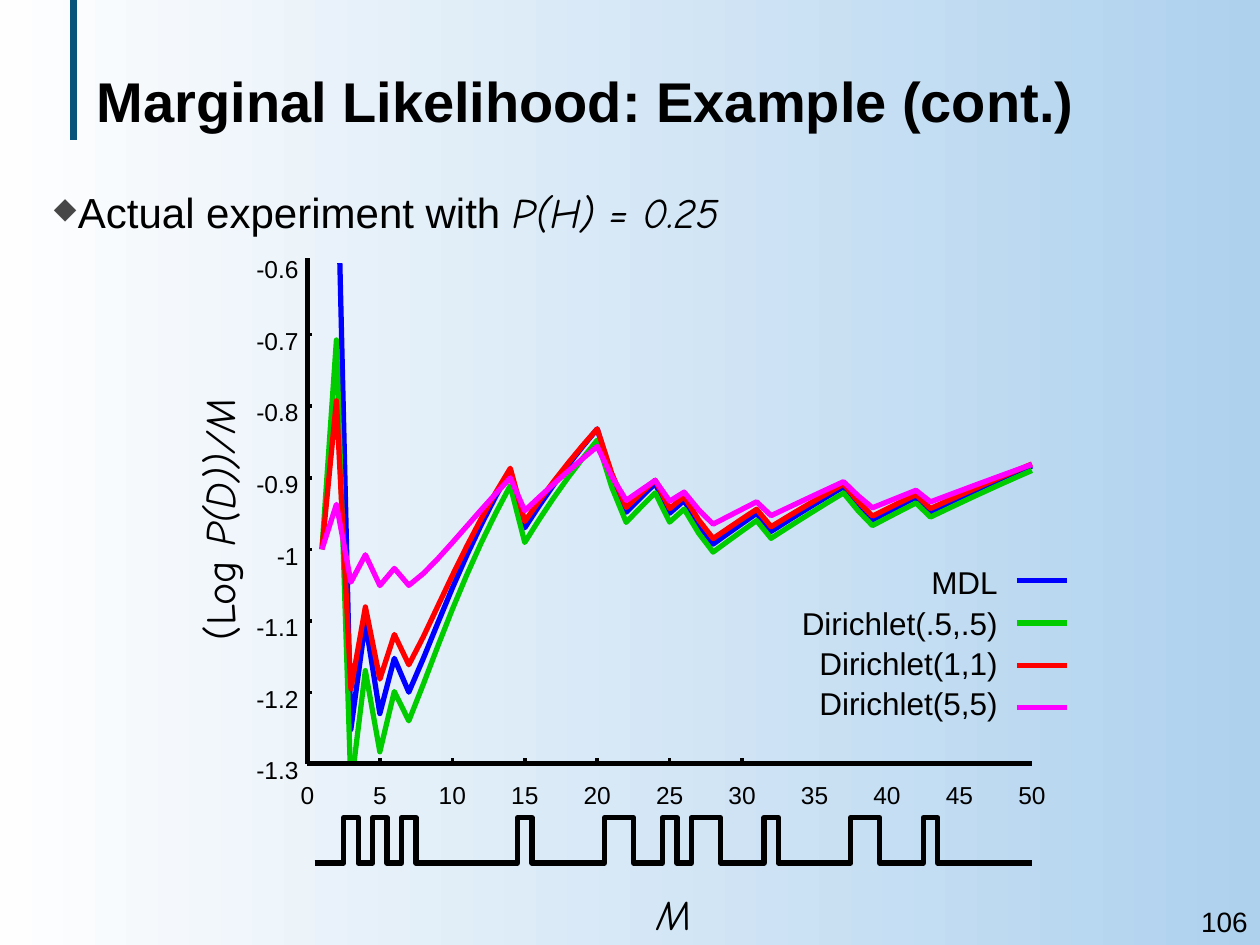
"""Builds a slide comparing marginal likelihood scores over a run of coin tosses."""
from dataclasses import dataclass, field
from itertools import groupby
from math import lgamma, log, log2

from lxml import etree
from pptx import Presentation
from pptx import util as u
from pptx.dml import color
from pptx.enum import shapes, text
from pptx.oxml import ns

HEADS = {3, 5, 7, 15, 21, 22, 25, 27, 28, 32, 38, 39, 43}
TOSSES = range(1, 51)
LOW, HIGH = -1.3, -0.6
LEFT, BASE, RIGHT = 2.44, 6.06, 8.19
LEGEND = [("MDL", "0000FF", None), ("Dirichlet(.5,.5)", "00CC00", 0.5),
          ("Dirichlet(1,1)", "FF0000", 1), ("Dirichlet(5,5)", "FF00FF", 5)]


def rgb(value):
    return color.RGBColor.from_string(value)


def x_at(toss):
    return LEFT + 0.115 * toss


def y_at(score):
    return 4.36 - 5.68 * (score + 1)


def log_beta(a, b):
    return (lgamma(a) + lgamma(b) - lgamma(a + b)) / log(2)


def mean_score(toss, prior):
    heads = sum(head <= toss for head in HEADS)
    tails = toss - heads
    if prior:
        return (log_beta(heads + prior, tails + prior) - log_beta(prior, prior)) / toss
    likelihood = sum(n * log2(n / toss) for n in (heads, tails) if n)
    return (likelihood - 0.5 * log2(toss + 1)) / toss


def visible_runs(prior):
    scores = [(toss, mean_score(toss, prior)) for toss in TOSSES]
    trace = scores[:1]
    for (toss, score), (following, target) in zip(scores, scores[1:]):
        for limit in (LOW, HIGH):
            if (score - limit) * (target - limit) < 0:
                share = (limit - score) / (target - score)
                trace.append((toss + share, limit))
        trace.append((following, target))
    for visible, run in groupby(trace, key=lambda point: LOW <= point[1] <= HIGH):
        if visible:
            yield [(x_at(toss), y_at(score)) for toss, score in run]


@dataclass
class Board:
    slide: object
    font: str = "Arial"
    ink: str = "000000"
    formula: dict = field(default_factory=lambda: {"name": "Comic Neue", "italic": True})

    def background(self, stops, angle):
        fill = self.slide.background.fill
        fill.gradient()
        fill.gradient_angle = angle
        for stop, value in zip(fill.gradient_stops, stops):
            stop.color.rgb = rgb(value)

    def line(self, start, end, value=None, width=3):
        ends = [u.Inches(length) for length in (*start, *end)]
        connector = self.slide.shapes.add_connector(shapes.MSO_CONNECTOR.STRAIGHT, *ends)
        connector.line.color.rgb = rgb(value or self.ink)
        connector.line.width = u.Pt(width)
        etree.SubElement(connector._element.spPr, ns.qn("a:effectLst"))

    def trace(self, points, value=None):
        start, *rest = [(u.Inches(x), u.Inches(y)) for x, y in points]
        builder = self.slide.shapes.build_freeform(*start)
        builder.add_line_segments(rest, close=False)
        outline = builder.convert_to_shape()
        outline.shadow.inherit = False
        outline.fill.background()
        outline.line.color.rgb = rgb(value or self.ink)
        outline.line.width = u.Pt(3)

    def label(self, place, runs, size, align="CENTER", inset=False, middle=False,
              bullet=False, rotation=0):
        box = self.slide.shapes.add_textbox(*[u.Inches(length) for length in place])
        box.rotation = rotation
        frame = box.text_frame
        margins = (0.1, 0.05) if inset else (0, 0)
        anchor = text.MSO_ANCHOR.MIDDLE if middle else text.MSO_ANCHOR.TOP
        layout = {"word_wrap": inset, "vertical_anchor": anchor}
        for sides, margin in zip((("left", "right"), ("top", "bottom")), margins):
            layout.update({f"margin_{side}": u.Inches(margin) for side in sides})
        for name, setting in layout.items():
            setattr(frame, name, setting)
        paragraph = frame.paragraphs[0]
        paragraph.alignment = getattr(text.PP_ALIGN, align)
        if bullet:
            self.diamond(paragraph)
        for words, changes in runs:
            run = paragraph.add_run()
            run.text = words
            run.font.color.rgb = rgb(self.ink)
            style = {"name": self.font, "size": u.Pt(size), **changes}
            for name, setting in style.items():
                setattr(run.font, name, setting)

    def diamond(self, paragraph):
        properties = paragraph._p.get_or_add_pPr()
        properties.set("marL", str(u.Inches(0.19)))
        properties.set("indent", str(u.Inches(-0.19)))
        tint = etree.SubElement(properties, ns.qn("a:buClr"))
        etree.SubElement(tint, ns.qn("a:srgbClr"), val="474747")
        etree.SubElement(properties, ns.qn("a:buSzPct"), val="70000")
        etree.SubElement(properties, ns.qn("a:buChar"), char="◆")


def draw_axes(board):
    for step in range(8):
        score = LOW + step / 10
        y = y_at(score)
        if step < 7:
            board.line((LEFT, y), (LEFT + 0.04, y), width=0)
        board.label((2.03, y - 0.07, 0.34, 0.23), [(f"{score:.2g}", {})], 14, "RIGHT")
    for toss in range(0, 51, 5):
        x = x_at(toss)
        if toss <= 30:
            board.line((x, BASE), (x, BASE - 0.04), width=0)
        board.label((x - 0.11, 6.19, 0.22, 0.23), [(str(toss), {})], 14)
    board.label((0.77, 3.92, 1.93, 0.4),
                [("(Log", {"name": "Comic Neue"}), (" P(D))/M", board.formula)],
                24, rotation=270)
    board.label((5.21, 7.05, 0.28, 0.4), [("M", board.formula)], 24)


def draw_scores(board):
    for row, (model, value, prior) in enumerate(LEGEND):
        board.label((6.36, 4.47 + 0.32 * row, 1.56, 0.3), [(model, {})], 18, "RIGHT")
        key = 4.61 + 0.335 * row
        board.line((8.07, key), (8.47, key), value)
        for run in visible_runs(prior):
            board.trace(run, value)


def draw_tosses(board):
    pulse = []
    for toss in TOSSES:
        level = 6.49 if toss in HEADS else 6.85
        pulse += [(x_at(edge), level) for edge in (toss - 0.5, min(toss + 0.5, 50))]
    board.trace(pulse)


def main():
    deck = Presentation()
    deck.slide_width, deck.slide_height = u.Inches(10), u.Inches(7.5)
    board = Board(deck.slides.add_slide(deck.slide_layouts[6]))
    board.background(("AED1EE", "FEFEFE"), 180)
    board.line((0.58, 0), (0.58, 1.11), "07547A", 4)
    board.label((0.67, 0.17, 8.92, 1.25),
                [("Marginal Likelihood: Example (cont.)", {"bold": True})],
                32, "LEFT", inset=True, middle=True)
    board.label((0.33, 1.43, 9.45, 0.98),
                [("Actual experiment with ", {}), ("P(H) = 0.25", board.formula)],
                24, "LEFT", inset=True, bullet=True)
    draw_axes(board)
    draw_scores(board)
    draw_tosses(board)
    board.line((LEFT, 2.05), (LEFT, BASE))
    board.line((LEFT, BASE), (RIGHT, BASE))
    board.label((8.99, 7.13, 1.01, 0.37), [("106", {})], 16, "RIGHT",
                inset=True, middle=True)
    deck.save("out.pptx")


if __name__ == "__main__":
    main()
